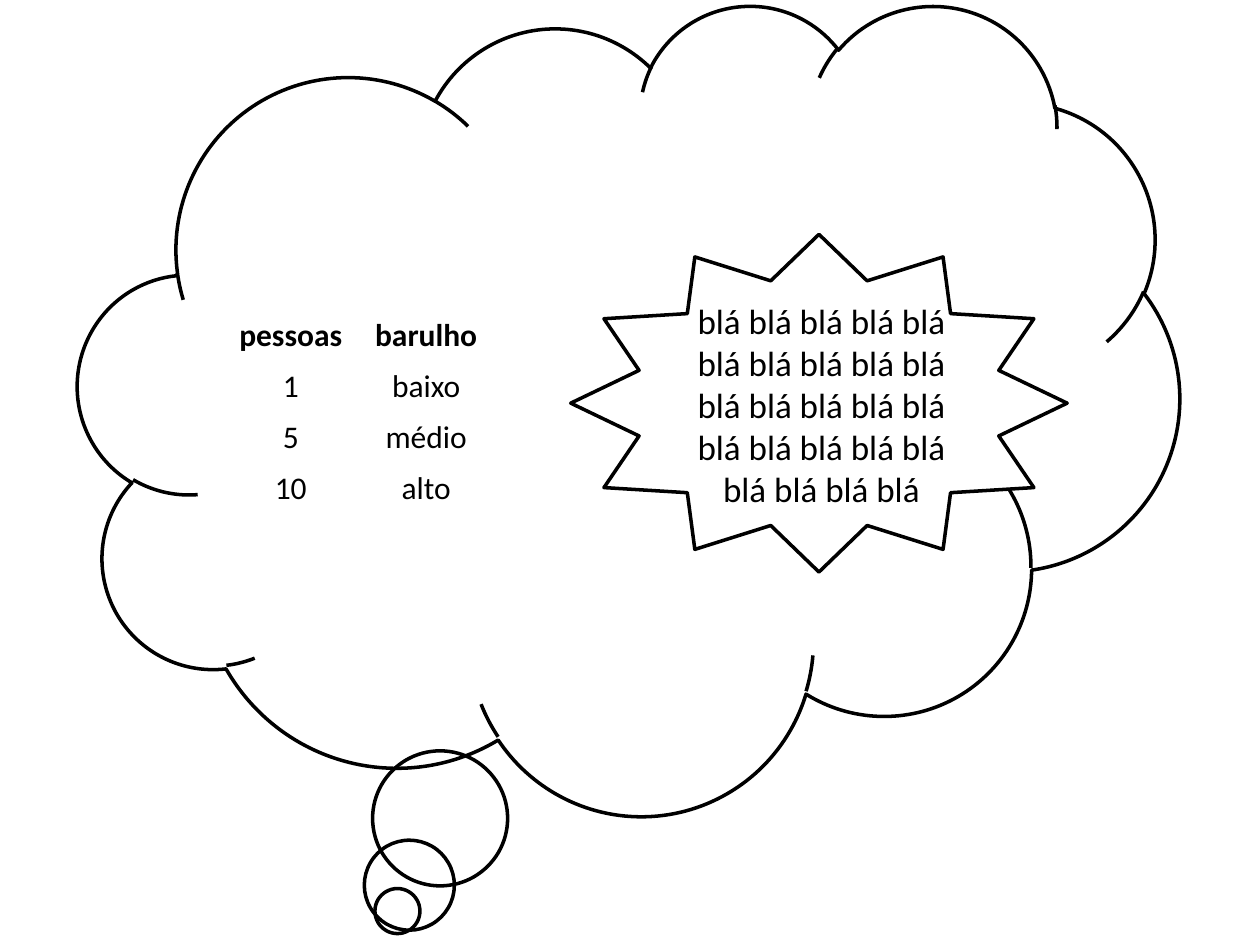
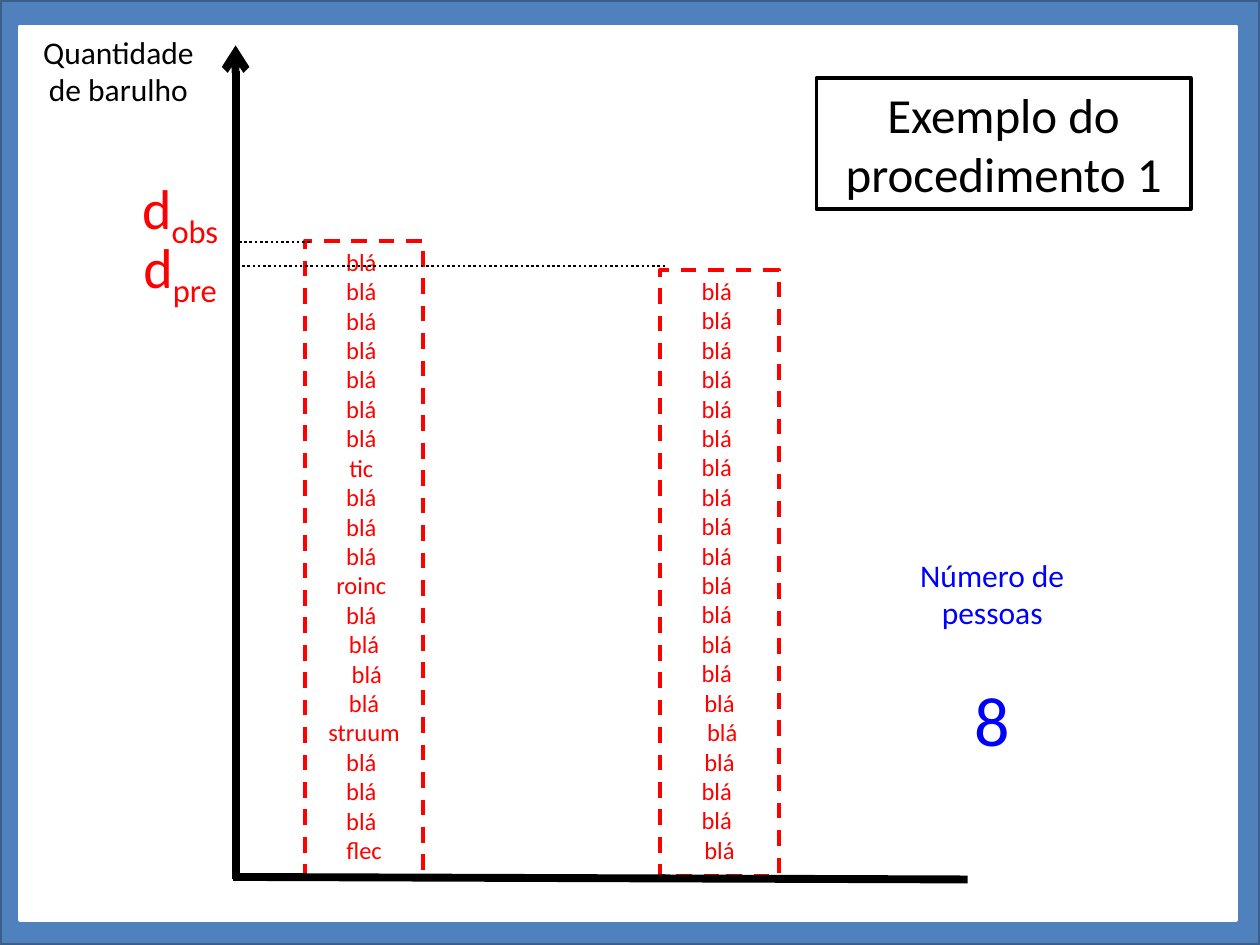
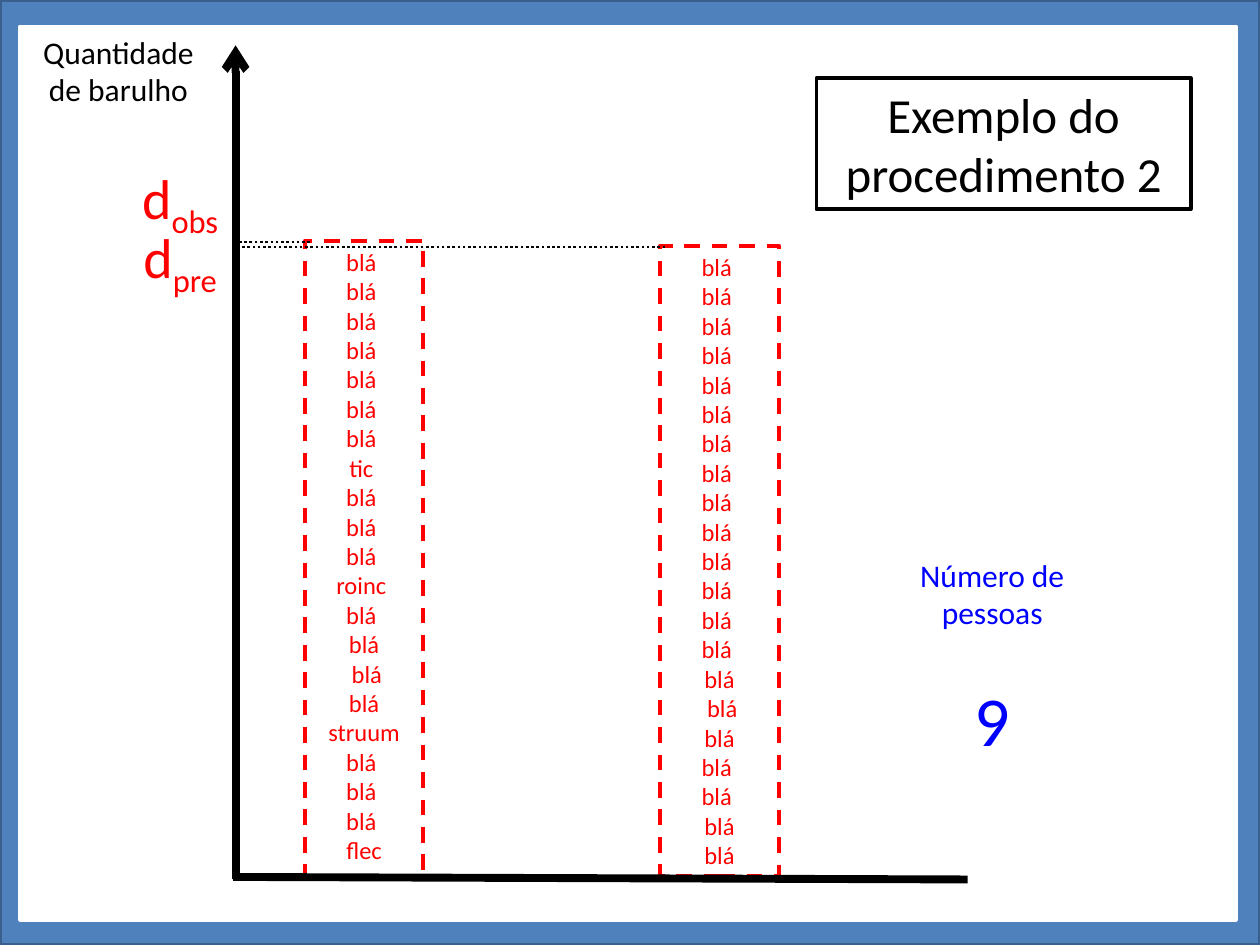
import pptx
import pptx.dml.color
import pptx.enum.dml
import pptx.enum.shapes
import pptx.enum.text
import pptx.oxml.ns
import pptx.util
from lxml import etree
from pptx.util import Inches

RGBColor = pptx.dml.color.RGBColor
Shape = pptx.enum.shapes.MSO_SHAPE
Dash = pptx.enum.dml.MSO_LINE
AutoSize = pptx.enum.text.MSO_AUTO_SIZE
qn = pptx.oxml.ns.qn

# Shared style
FONT = "Calibri"
BLACK = RGBColor(0x00, 0x00, 0x00)
WHITE = RGBColor(0xFF, 0xFF, 0xFF)
RED = RGBColor(0xFF, 0x00, 0x00)
BLUE = RGBColor(0x00, 0x00, 0xFF)
FRAME_FILL = RGBColor(0x4F, 0x81, 0xBD)
FRAME_LINE = RGBColor(0x3A, 0x5F, 0x8C)
TITLE_ONLY, BLANK = 5, 6

# Words filling the bars; single spaces shift the centred words
OBSERVED_NOISE = (
    ["blá "] * 7 + ["tic "] + ["blá "] * 3 + ["roinc ", "blá ", "blá", " blá", " blá "]
    + ["struum blá ", "blá ", "blá ", "flec"]
)
PREDICTED_NOISE = ["blá "] * 14 + ["blá", " blá", " blá ", "blá ", "blá ", "blá"]
BAR_BOTTOM = 6.95


class Deck:
    def __init__(self):
        self.presentation = pptx.Presentation()
        self.presentation.slide_width = Inches(10)
        self.presentation.slide_height = Inches(7.5)
        self.slide = None

    def new_slide(self, layout):
        self.slide = self.presentation.slides.add_slide(
            self.presentation.slide_layouts[layout])

    def format_paragraph(self, paragraph, size, color, bold=False):
        paragraph.alignment = pptx.enum.text.PP_ALIGN.CENTER
        font = paragraph.font
        font.name, font.size, font.bold = FONT, pptx.util.Pt(size), bold
        font.color.rgb = color

    def fill_text(self, frame, lines, size, color):
        frame.word_wrap = True
        frame.vertical_anchor = pptx.enum.text.MSO_ANCHOR.TOP
        for index, line in enumerate(lines):
            paragraph = frame.paragraphs[0] if index == 0 else frame.add_paragraph()
            paragraph.add_run().text = line
            self.format_paragraph(paragraph, size, color)

    def outline(self, line, color, width, dash=None):
        line.color.rgb = color
        line.width = pptx.util.Pt(width)
        if dash:
            line.dash_style = dash

    def shape(self, kind, box, line, width=2, fill=None, dash=None, group=None):
        shapes = (group or self.slide).shapes
        shape = shapes.add_shape(kind, *map(Inches, box))
        shape.shadow.inherit = False
        if fill is None:
            shape.fill.background()
        else:
            shape.fill.solid()
            shape.fill.fore_color.rgb = fill
        self.outline(shape.line, line, width, dash)
        return shape

    def group(self):
        return self.slide.shapes.add_group_shape()

    def text(self, box, text, size, color, subscript=None, group=None):
        shapes = (group or self.slide).shapes
        frame = shapes.add_textbox(*map(Inches, box)).text_frame
        self.fill_text(frame, [text], size, color)
        frame.auto_size = AutoSize.SHAPE_TO_FIT_TEXT
        if subscript:
            run = frame.paragraphs[0].add_run()
            run.text = subscript
            run.font._element.set("baseline", "-25000")

    def line(self, start, end, width, dash=None, arrow=False):
        connector = self.slide.shapes.add_connector(
            pptx.enum.shapes.MSO_CONNECTOR.STRAIGHT, *map(Inches, start + end))
        self.outline(connector.line, BLACK, width, dash)
        if arrow:
            etree.SubElement(connector.line._get_or_add_ln(), qn("a:tailEnd"), type="arrow")
        etree.SubElement(connector._element.spPr, qn("a:effectLst"))

    def table(self, box, rows, size):
        table = self.slide.shapes.add_table(
            len(rows), len(rows[0]), *map(Inches, box)).table
        for row_index, row in enumerate(rows):
            for column_index, value in enumerate(row):
                cell = table.cell(row_index, column_index)
                cell.fill.solid()
                cell.fill.fore_color.rgb = WHITE
                cell.text = value
                self.format_paragraph(
                    cell.text_frame.paragraphs[0], size, BLACK, bold=row_index == 0)

    def title(self, box, text):
        title = self.slide.shapes.title
        title.left, title.top, title.width, title.height = map(Inches, box)
        self.outline(title.line, BLACK, 2.25)
        self.fill_text(title.text_frame, [text], 28, BLACK)
        title.text_frame.auto_size = AutoSize.NONE
        # Bring the title in front of the frame
        self.slide.shapes._spTree.append(title._element)

    def frame(self):
        group = self.group()
        self.shape(Shape.RECTANGLE, (0, 0, 10, 7.5), FRAME_LINE, fill=FRAME_FILL, group=group)
        self.shape(Shape.RECTANGLE, (0.16, 0.21, 9.65, 7.09), WHITE, fill=WHITE, group=group)

    def bar(self, left, top, words):
        box = (left, top, 0.94, BAR_BOTTOM - top)
        shape = self.shape(Shape.RECTANGLE, box, RED, 2.25, dash=Dash.DASH)
        self.fill_text(shape.text_frame, words, 14, RED)


def thought_slide(deck):
    deck.new_slide(BLANK)
    cloud = deck.shape(Shape.CLOUD_CALLOUT, (0.62, 0.03, 8.74, 6.43), BLACK)
    cloud.adjustments[0], cloud.adjustments[1] = -0.21, 0.62
    deck.table((1.77, 2.46, 2.15, 1.6), [
        ("pessoas", "barulho"), ("1", "baixo"), ("5", "médio"), ("10", "alto")], 18)
    burst = deck.group()
    deck.shape(Shape.STAR_12_POINT, (4.53, 1.86, 3.94, 2.68), BLACK, fill=WHITE, group=burst)
    deck.text((5.38, 2.33, 2.28, 1.78), " ".join(["blá"] * 24), 20, BLACK, group=burst)


def procedure_slide(deck, number, people, words, bar_top, predicted_level, label_top):
    deck.new_slide(TITLE_ONLY)
    deck.frame()
    # Bars and axes
    deck.bar(5.24, bar_top, words)
    deck.bar(2.42, 1.91, OBSERVED_NOISE)
    deck.line((1.87, 6.98), (1.87, 0.36), 4.5, arrow=True)
    deck.line((1.85, 6.96), (7.68, 6.98), 4.5)
    # Observed and predicted levels
    levels = [("obs", 2.46, 1.87, 1.92), ("pre", 5.28, 1.85, predicted_level)]
    for index, (name, start, end, level) in enumerate(levels):
        deck.line((start, level), (end, level), 1.5, Dash.ROUND_DOT)
        deck.text((0.83, label_top + 0.47 * index, 1.2, 0.64), "d", 32, RED, subscript=name)
    # Axis label and number of people
    deck.text((0.17, 0.21, 1.54, 0.71), "Quantidade de barulho", 18, BLACK)
    deck.text((7.05, 4.36, 1.65, 0.71), "Número de pessoas", 18, BLUE)
    deck.text((7.05, 5.32, 1.65, 0.77), people, 40, BLUE)
    deck.title((6.48, 0.62, 2.97, 1.04), f"Exemplo do procedimento {number}")


def main():
    deck = Deck()
    thought_slide(deck)
    procedure_slide(deck, 1, "8", PREDICTED_NOISE, 2.14, 2.11, 1.33)
    procedure_slide(deck, 2, "9", PREDICTED_NOISE + ["blá"], 1.95, 1.96, 1.25)
    deck.presentation.save("out.pptx")


if __name__ == "__main__":
    main()
